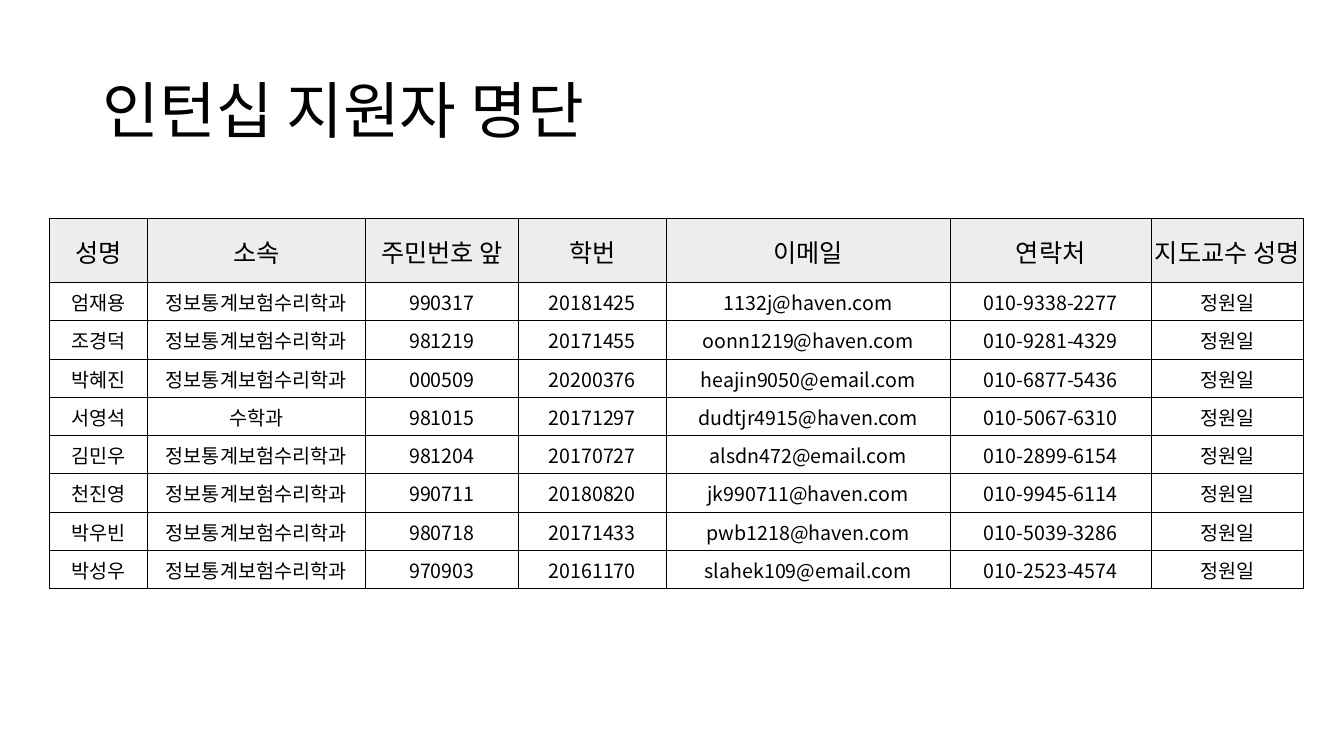
from lxml.etree import SubElement
from pptx import Presentation
from pptx.dml.color import RGBColor
from pptx.enum.text import MSO_ANCHOR, PP_ALIGN
from pptx.oxml.ns import qn
from pptx.util import Inches, Pt

FONT = "Noto Sans CJK KR"
BLACK = "000000"
HEADER_GRAY = "EDEDED"
STATISTICS = "정보통계보험수리학과"
MATHEMATICS = "수학과"
PROFESSOR = "정원일"

COLUMNS = [
    ("성명", 0.97), ("소속", 2.16), ("주민번호 앞", 1.52), ("학번", 1.46),
    ("이메일", 2.82), ("연락처", 1.99), ("지도교수 성명", 1.51),
]
HEADER_HEIGHT = 0.63
ROW_HEIGHT = 0.38
APPLICANTS = [
    ("엄재용", STATISTICS, "990317", "20181425", "1132j@haven.com", "010-9338-2277"),
    ("조경덕", STATISTICS, "981219", "20171455", "oonn1219@haven.com", "010-9281-4329"),
    ("박혜진", STATISTICS, "000509", "20200376", "heajin9050@email.com", "010-6877-5436"),
    ("서영석", MATHEMATICS, "981015", "20171297", "dudtjr4915@haven.com", "010-5067-6310"),
    ("김민우", STATISTICS, "981204", "20170727", "alsdn472@email.com", "010-2899-6154"),
    ("천진영", STATISTICS, "990711", "20180820", "jk990711@haven.com", "010-9945-6114"),
    ("박우빈", STATISTICS, "980718", "20171433", "pwb1218@haven.com", "010-5039-3286"),
    ("박성우", STATISTICS, "970903", "20161170", "slahek109@email.com", "010-2523-4574"),
]


def color(hex_code):
    return RGBColor.from_string(hex_code)


def write(text_frame, text, size, align):
    """Set one paragraph, with the font for Latin and Korean letters alike."""
    paragraph = text_frame.paragraphs[0]
    paragraph.text = text
    paragraph.alignment = align
    font = paragraph.runs[0].font
    font.size = Pt(size)
    font.name = FONT
    font.color.rgb = color(BLACK)
    SubElement(paragraph.runs[0]._r.get_or_add_rPr(), qn("a:ea"), typeface=FONT)
    return paragraph


def add_borders(cell):
    properties = cell._tc.get_or_add_tcPr()
    for side in ("lnL", "lnR", "lnT", "lnB"):
        border = SubElement(properties, qn(f"a:{side}"), w=str(Pt(0.5)))
        fill = SubElement(border, qn("a:solidFill"))
        SubElement(fill, qn("a:srgbClr"), val=BLACK)


def fill_cell(cell, text, is_header):
    cell.margin_left = cell.margin_right = cell.margin_top = Inches(0.01)
    cell.margin_bottom = 0
    cell.vertical_anchor = MSO_ANCHOR.MIDDLE
    write(cell.text_frame, text, 18 if is_header else 14, PP_ALIGN.CENTER)
    add_borders(cell)
    if is_header:
        cell.fill.solid()
        cell.fill.fore_color.rgb = color(HEADER_GRAY)
    else:
        cell.fill.background()


def add_title(slide, left, top, width, height):
    title = slide.shapes.add_textbox(left, top, width, height).text_frame
    title.word_wrap = True
    title.vertical_anchor = MSO_ANCHOR.MIDDLE
    write(title, "인턴십 지원자 명단", 44, PP_ALIGN.LEFT).line_spacing = 0.9


def add_applicant_table(slide, left, top, width, height):
    headings = [heading for heading, _ in COLUMNS]
    rows = [headings] + [(*applicant, PROFESSOR) for applicant in APPLICANTS]
    table = slide.shapes.add_table(
        len(rows), len(COLUMNS), left, top, width, height).table
    total = sum(share for _, share in COLUMNS)
    for column, (_, share) in zip(table.columns, COLUMNS):
        column.width = int(width * share / total)
    for index, row in enumerate(rows):
        is_header = index == 0
        table.rows[index].height = Inches(HEADER_HEIGHT if is_header else ROW_HEIGHT)
        for cell, text in zip(table.rows[index].cells, row):
            fill_cell(cell, text, is_header)


def main():
    presentation = Presentation()
    presentation.slide_width = Inches(13.33)
    presentation.slide_height = Inches(7.5)
    slide = presentation.slides.add_slide(presentation.slide_layouts[6])
    add_title(slide, Inches(0.92), Inches(0.4), Inches(11.5), Inches(1.45))
    add_applicant_table(
        slide, Inches(0.49), Inches(2.17), Inches(12.44),
        Inches(HEADER_HEIGHT + ROW_HEIGHT * len(APPLICANTS)))
    presentation.save("out.pptx")


if __name__ == "__main__":
    main()
